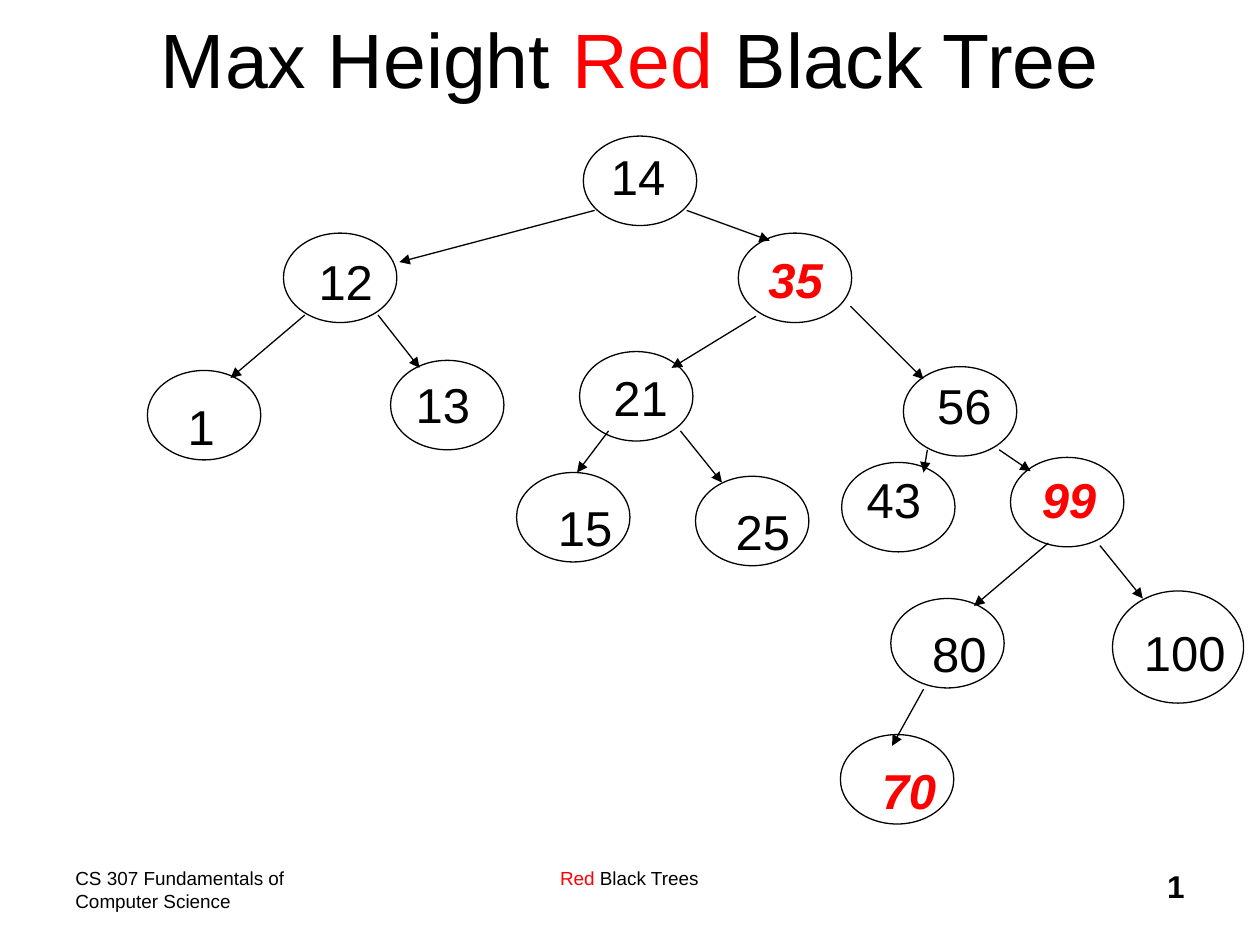
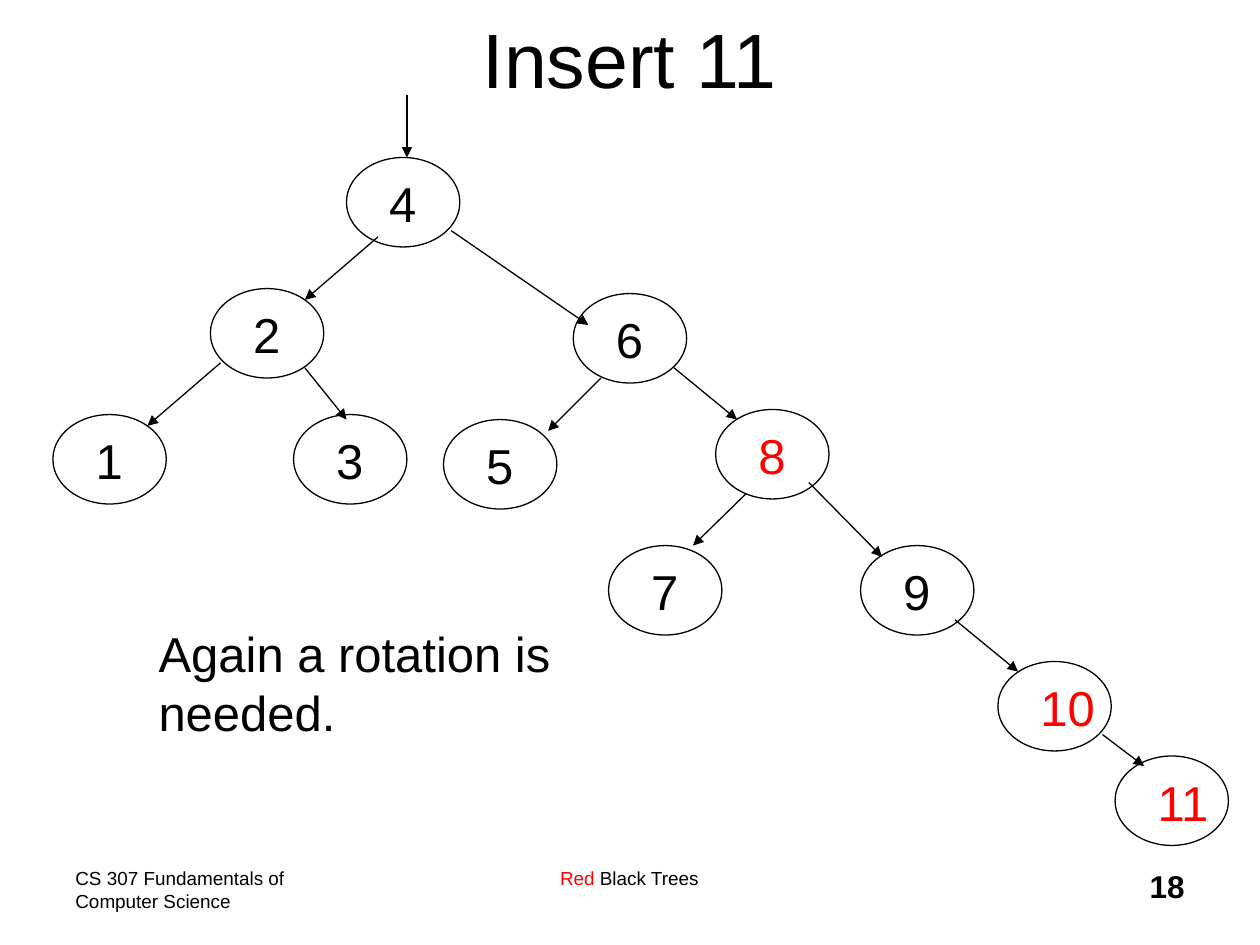
from collections import namedtuple
from dataclasses import dataclass

from lxml import etree
from pptx import Presentation
from pptx.dml.color import RGBColor
from pptx.enum import shapes, text
from pptx.oxml import ns
from pptx.util import Inches, Pt


@dataclass(frozen=True)
class Theme:
    font: str = "Arial"
    black: RGBColor = RGBColor(0, 0, 0)
    red: RGBColor = RGBColor(255, 0, 0)
    title_size: float = 44
    body_size: float = 28
    number_size: float = 18
    footer_size: float = 10.8
    space_before: float = 7
    line_width: float = 0.75


THEME = Theme()
Box = namedtuple("Box", "left top width height")
Node = namedtuple("Node", "key left top label_dx label_dy width height",
                  defaults=(0.24, 0.08, 0.9, 0.71))
Arrow = namedtuple("Arrow", "x1 y1 x2 y2")

TITLE_BOX = Box(0.75, -0.17, 8.5, 1.25)
FOOTER_BOX = Box(0.5, 6.83, 9, 0.5)

MAX_HEIGHT_NODES = [
    Node("14", 3.63, 0.08, 0.12, 0.03),
    Node("12", 1.25, 0.85, 0.18, 0.1),
    Node("35", 4.86, 0.85, 0.14, 0.08),
    Node("1", 0.17, 1.94, 0.22, 0.16),
    Node("13", 2.1, 1.86, 0.1, 0.06),
    Node("21", 3.6, 1.79, 0.17, 0.08),
    Node("56", 6.17, 1.91, 0.17, 0.02),
    Node("15", 3.1, 2.75, 0.23, 0.15),
    Node("25", 4.52, 2.78, 0.22, 0.15),
    Node("43", 5.68, 2.67, 0.1, 0.01),
    Node("99", 7.02, 2.63, 0.15, 0.05),
    Node("80", 6.07, 3.75, 0.23, 0.15),
    Node("100", 7.83, 3.69, 0.15, 0.2, 1.04, 0.89),
    Node("70", 5.67, 4.83, 0.23, 0.16),
]
MAX_HEIGHT_ARROWS = [
    Arrow(3.72, 0.67, 2.17, 1.08),
    Arrow(4.45, 0.67, 5.11, 0.91),
    Arrow(1.42, 1.5, 0.83, 2),
    Arrow(2, 1.5, 2.33, 1.92),
    Arrow(5, 1.51, 4.33, 1.92),
    Arrow(5.75, 1.43, 6.33, 2.01),
    Arrow(3.83, 2.42, 3.58, 2.75),
    Arrow(4.4, 2.42, 4.73, 2.83),
    Arrow(6.36, 2.57, 6.33, 2.75),
    Arrow(6.93, 2.57, 7.18, 2.74),
    Arrow(7.32, 3.31, 6.73, 3.81),
    Arrow(7.73, 3.33, 8.07, 3.75),
    Arrow(6.33, 4.47, 6.08, 4.92),
]

INSERT_NODES = [
    Node("4", 2.75, 0.5),
    Node("2", 1.67, 1.54),
    Node("6", 4.55, 1.58),
    Node("1", 0.42, 2.54),
    Node("3", 2.33, 2.54),
    Node("5", 3.52, 2.58),
    Node("8", 5.68, 2.5),
    Node("7", 4.83, 3.58),
    Node("9", 6.83, 3.58),
    Node("10", 7.92, 4.5),
    Node("11", 8.85, 5.25),
]
INSERT_ARROWS = [
    Arrow(3.23, 0, 3.23, 0.5),
    Arrow(3, 1.13, 2.42, 1.63),
    Arrow(3.58, 1.08, 4.67, 1.83),
    Arrow(1.75, 2.13, 1.17, 2.63),
    Arrow(2.42, 2.17, 2.75, 2.58),
    Arrow(4.77, 2.25, 4.35, 2.67),
    Arrow(5.35, 2.17, 5.85, 2.58),
    Arrow(5.92, 3.17, 5.5, 3.58),
    Arrow(6.42, 3.08, 7, 3.67),
    Arrow(7.58, 4.17, 8.08, 4.58),
    Arrow(8.75, 5.08, 9.08, 5.33),
]


def add_text(slide, box, runs, size, align=text.PP_ALIGN.LEFT, bold=False,
             italic=False, space_before=0, wrap=True):
    frame = slide.shapes.add_textbox(*map(Inches, box)).text_frame
    frame.word_wrap = wrap
    if not wrap:
        frame.auto_size = text.MSO_AUTO_SIZE.SHAPE_TO_FIT_TEXT
    paragraph = frame.paragraphs[0]
    paragraph.alignment = align
    paragraph.space_before = Pt(space_before)
    paragraph.font.name = THEME.font
    paragraph.font.size = Pt(size)
    paragraph.font.bold = bold
    paragraph.font.italic = italic
    for index, (words, color) in enumerate(runs):
        for line_index, line in enumerate(words.split("\n")):
            if line_index:
                paragraph.add_line_break()
            run = paragraph.add_run()
            run.text = line
            run.font.name = THEME.font
            run.font.size = Pt(size)
            run.font.color.rgb = color
    return frame


def add_title(slide, box, runs):
    frame = add_text(slide, box, runs, THEME.title_size, text.PP_ALIGN.CENTER)
    frame.vertical_anchor = text.MSO_ANCHOR.MIDDLE


def add_footer(slide, box, number):
    course = Box(box.left, box.top, 2.5, box.height)
    topic = Box(box.left + 2.58, box.top, 3.83, box.height)
    page = Box(box.left + box.width - 2.08, box.top, 2.08, box.height)
    add_text(slide, course,
             [("CS 307 Fundamentals of Computer Science", THEME.black)],
             THEME.footer_size)
    add_text(slide, topic,
             [("Red", THEME.red), (" Black Trees", THEME.black)],
             THEME.footer_size, text.PP_ALIGN.CENTER,
             space_before=THEME.footer_size * 1.15)
    add_text(slide, page, [(str(number), THEME.black)],
             THEME.number_size, text.PP_ALIGN.RIGHT, bold=True)


def add_body_text(slide, box, words, color, emphasis=False):
    add_text(slide, box, [(words, color)], THEME.body_size, bold=emphasis,
             italic=emphasis, space_before=THEME.space_before, wrap=False)


def style_line(line):
    line.color.rgb = THEME.black
    line.width = Pt(THEME.line_width)


def add_node(slide, box, key, label_dx, label_dy, is_red, emphasis):
    ellipse = slide.shapes.add_shape(shapes.MSO_SHAPE.OVAL, *map(Inches, box))
    ellipse.shadow.inherit = False
    ellipse.fill.background()
    style_line(ellipse.line)
    label = Box(box.left + label_dx, box.top + label_dy,
                0.19 + 0.22 * len(key), 0.57)
    add_body_text(slide, label, key, THEME.red if is_red else THEME.black,
                  is_red and emphasis)


def add_arrow(slide, ends):
    arrow = slide.shapes.add_connector(shapes.MSO_CONNECTOR.STRAIGHT,
                                       *map(Inches, ends))
    style_line(arrow.line)
    etree.SubElement(arrow.line._get_or_add_ln(), ns.qn("a:tailEnd"),
                     type="triangle")
    etree.SubElement(arrow._element.spPr, ns.qn("a:effectLst"))


def add_tree(slide, left, top, nodes, arrows, red_keys, emphasis=False):
    for node in nodes:
        box = Box(left + node.left, top + node.top, node.width, node.height)
        add_node(slide, box, node.key, node.label_dx, node.label_dy,
                 node.key in red_keys, emphasis)
    for arrow in arrows:
        add_arrow(slide, (left + arrow.x1, top + arrow.y1,
                          left + arrow.x2, top + arrow.y2))


def add_tree_slide(deck, title_runs, number):
    slide = deck.slides.add_slide(deck.slide_layouts[6])
    add_footer(slide, FOOTER_BOX, number)
    add_title(slide, TITLE_BOX, title_runs)
    return slide


def main():
    deck = Presentation()
    deck.slide_width, deck.slide_height = Inches(10), Inches(7.5)

    max_height = add_tree_slide(deck, [("Max Height ", THEME.black),
                                       ("Red", THEME.red),
                                       (" Black Tree", THEME.black)], 1)
    add_tree(max_height, 1, 1, MAX_HEIGHT_NODES, MAX_HEIGHT_ARROWS,
             {"35", "99", "70"}, emphasis=True)

    insertion = add_tree_slide(deck, [("Insert 11", THEME.black)], 18)
    add_tree(insertion, 0, 0.75, INSERT_NODES, INSERT_ARROWS,
             {"8", "10", "11"})
    add_body_text(insertion, Box(1.16, 4.9, 3.31, 1.04),
                  "Again a rotation is\nneeded.", THEME.black)

    deck.save("out.pptx")


if __name__ == "__main__":
    main()
